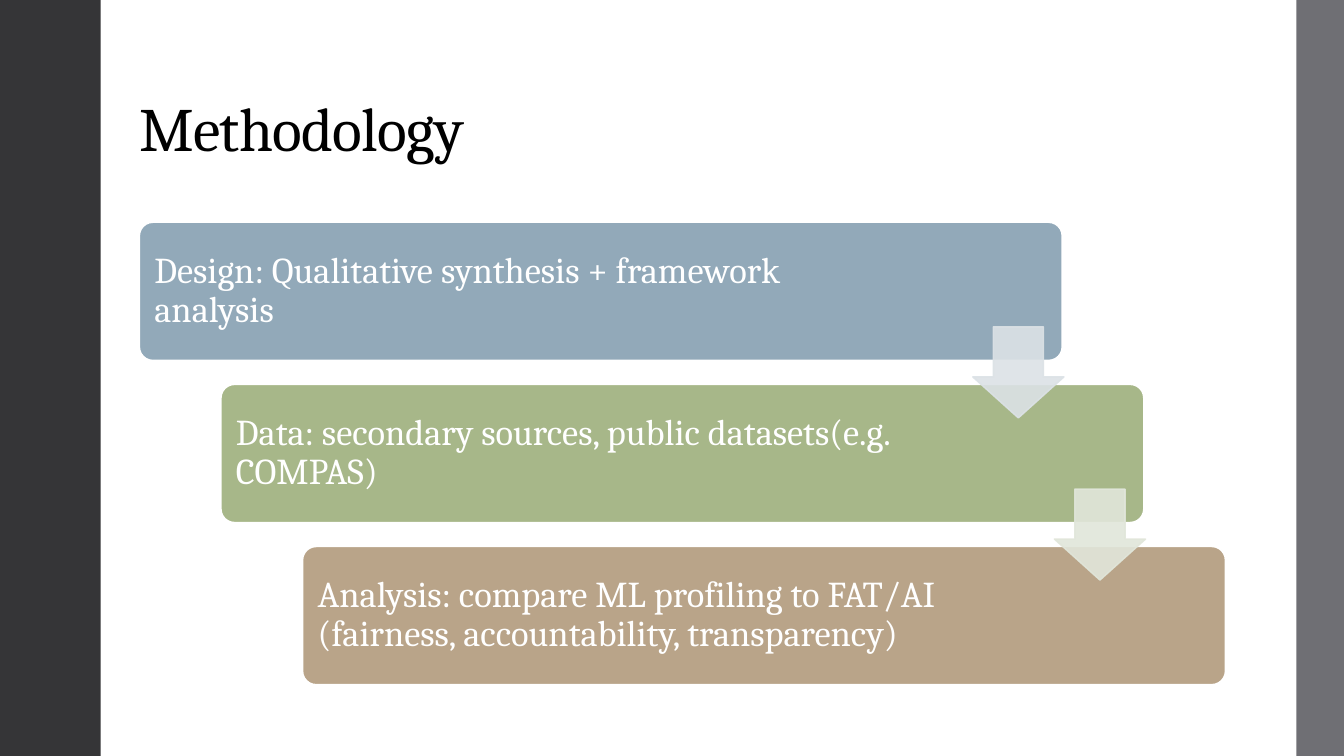
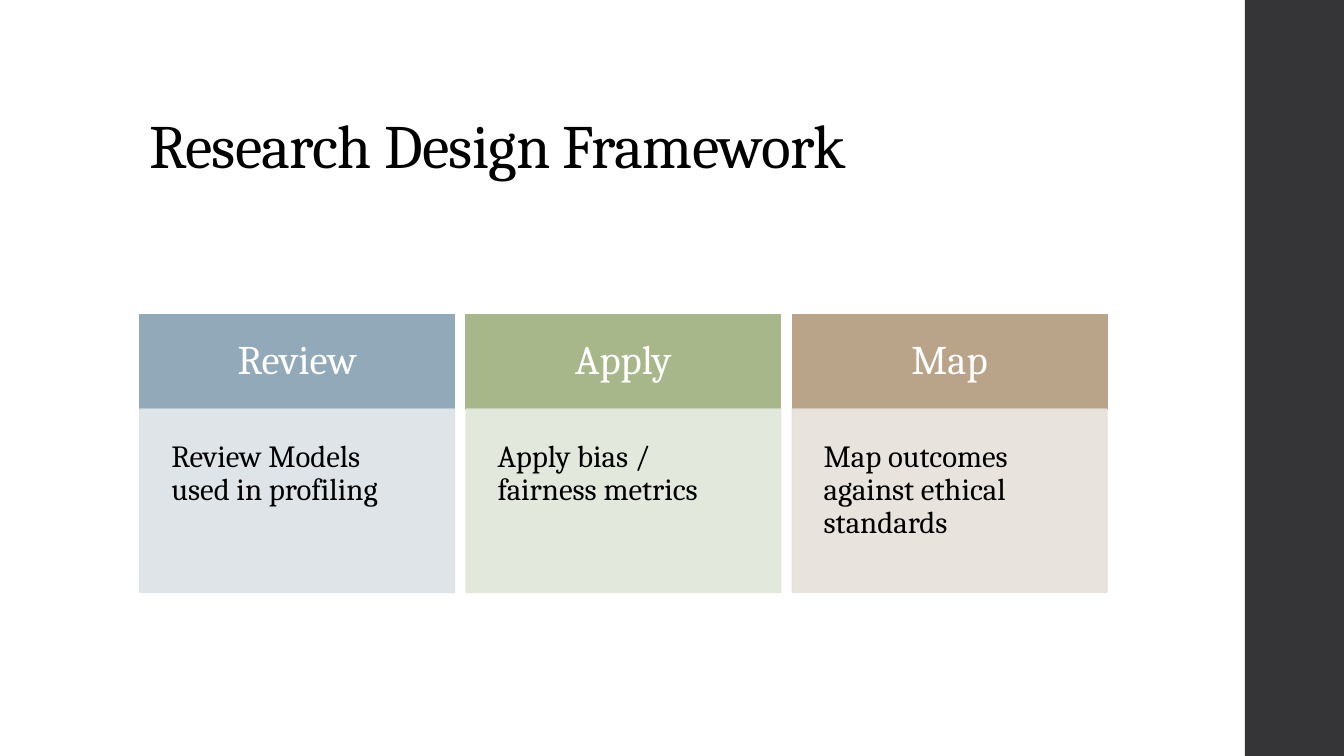
from lxml import etree
from pptx import Presentation
from pptx.dml.color import RGBColor
from pptx.enum import shapes, text
from pptx.oxml.ns import qn
from pptx.util import Pt

# Content
STEPS_TITLE = "Methodology"
STEPS = [
    "Design: Qualitative synthesis + framework analysis",
    "Data: secondary sources, public datasets(e.g. COMPAS)",
    "Analysis: compare ML profiling to FAT/AI (fairness, accountability, transparency)",
]
CARDS_TITLE = "Research Design Framework"
CARDS = [
    ("Review", "Review Models used in profiling"),
    ("Apply", "Apply bias / fairness metrics"),
    ("Map", "Map outcomes against ethical standards"),
]

# Shared style
FONT = "Cambria"
WHITE, BLACK, DARK, GREY = "FFFFFF", "000000", "353537", "6F6F74"
ACCENTS = ["92A9B9", "A7B789", "B9A489"]
TINTS = ["DCE2E6", "E1E6DA", "E6E0DA"]
TINT_OPACITY = 90
WIDTH, HEIGHT = 960, 540
SHAPE = shapes.MSO_SHAPE


def rgb(value):
    return RGBColor.from_string(value)


def write(shape, words, size, color=WHITE, align=text.PP_ALIGN.LEFT,
          anchor=text.MSO_ANCHOR.MIDDLE, margins=None, tracking=None):
    """Write one paragraph; margins are left, top, right, bottom."""
    frame = shape.text_frame
    frame.word_wrap = True
    frame.auto_size = text.MSO_AUTO_SIZE.NONE
    frame.vertical_anchor = anchor
    if margins:
        (frame.margin_left, frame.margin_top,
         frame.margin_right, frame.margin_bottom) = map(Pt, margins)
    paragraph = frame.paragraphs[0]
    paragraph.alignment = align
    paragraph.line_spacing = 0.9
    run = paragraph.add_run()
    run.text = words
    run.font.name, run.font.size = FONT, Pt(size)
    run.font.color.rgb = rgb(color)
    if tracking:
        run.font._element.set("spc", str(int(tracking * 100)))


def add_block(slide, kind, left, top, width, height, fill,
              line=None, line_width=1.1, opacity=None):
    shape = slide.shapes.add_shape(kind, Pt(left), Pt(top), Pt(width), Pt(height))
    shape.shadow.inherit = False
    shape.fill.solid()
    shape.fill.fore_color.rgb = rgb(fill)
    if line:
        shape.line.color.rgb = rgb(line)
        shape.line.width = Pt(line_width)
    else:
        shape.line.fill.background()
    if opacity:
        for color in shape._element.spPr.iter(qn("a:srgbClr")):
            etree.SubElement(color, qn("a:alpha")).set("val", str(opacity * 1000))
    return shape


def add_slide(presentation, title, left, top, width, bands):
    slide = presentation.slides.add_slide(presentation.slide_layouts[5])
    for band_left, band_width, color in bands:
        add_block(slide, SHAPE.RECTANGLE, band_left, 0, band_width, HEIGHT, color)
    holder = slide.shapes.title
    holder.left, holder.top, holder.width, holder.height = map(
        Pt, (left, top, width, 104.4))
    write(holder, title, 44, BLACK, anchor=text.MSO_ANCHOR.BOTTOM, tracking=-0.5)
    return slide


def build_steps(presentation):
    slide = add_slide(presentation, STEPS_TITLE, 92.2, 17.2, 776,
                      [(0, 72, DARK), (926, WIDTH - 926, GREY)])
    left, top, width, height = 99.4, 158.6, 659.5, 99
    shift, pitch, arrow_size = 58.3, 115.8, 65

    # Staggered boxes
    for index, (words, color) in enumerate(zip(STEPS, ACCENTS)):
        box = add_block(slide, SHAPE.ROUNDED_RECTANGLE, left + index * shift,
                        top + index * pitch, width, height, color, WHITE, 1.35)
        box.adjustments[0] = 0.1
        write(box, words, 26, margins=(8, 8, 130, 8))

    # Arrows centred on the gaps, flush with the upper box's right edge
    for index, color in enumerate(TINTS[:len(STEPS) - 1]):
        gap_middle = top + index * pitch + (height + pitch) / 2
        arrow = add_block(slide, SHAPE.DOWN_ARROW,
                          left + index * shift + width - arrow_size + 1,
                          gap_middle - arrow_size / 2, arrow_size, arrow_size,
                          color, color, opacity=TINT_OPACITY)
        arrow.adjustments[0], arrow.adjustments[1] = 0.55, 0.45


def build_cards(presentation):
    slide = add_slide(presentation, CARDS_TITLE, 99.4, 28.8, 763,
                      [(889.2, WIDTH - 889.2, DARK)])
    left, top, width, pitch = 100, 224.6, 224.6, 233
    head_height, body_height = 67.6, 131

    for index, (heading, body) in enumerate(CARDS):
        card_left = left + index * pitch
        head = add_block(slide, SHAPE.RECTANGLE, card_left, top, width,
                         head_height, ACCENTS[index], ACCENTS[index])
        write(head, heading, 29, align=text.PP_ALIGN.CENTER, margins=[18] * 4)
        panel = add_block(slide, SHAPE.RECTANGLE, card_left, top + head_height,
                          width, body_height, TINTS[index], TINTS[index],
                          opacity=TINT_OPACITY)
        write(panel, body, 22, BLACK, anchor=text.MSO_ANCHOR.TOP,
              margins=[22.4] * 4)


def main():
    presentation = Presentation()
    presentation.slide_width, presentation.slide_height = Pt(WIDTH), Pt(HEIGHT)
    build_steps(presentation)
    build_cards(presentation)
    presentation.save("out.pptx")


if __name__ == "__main__":
    main()
